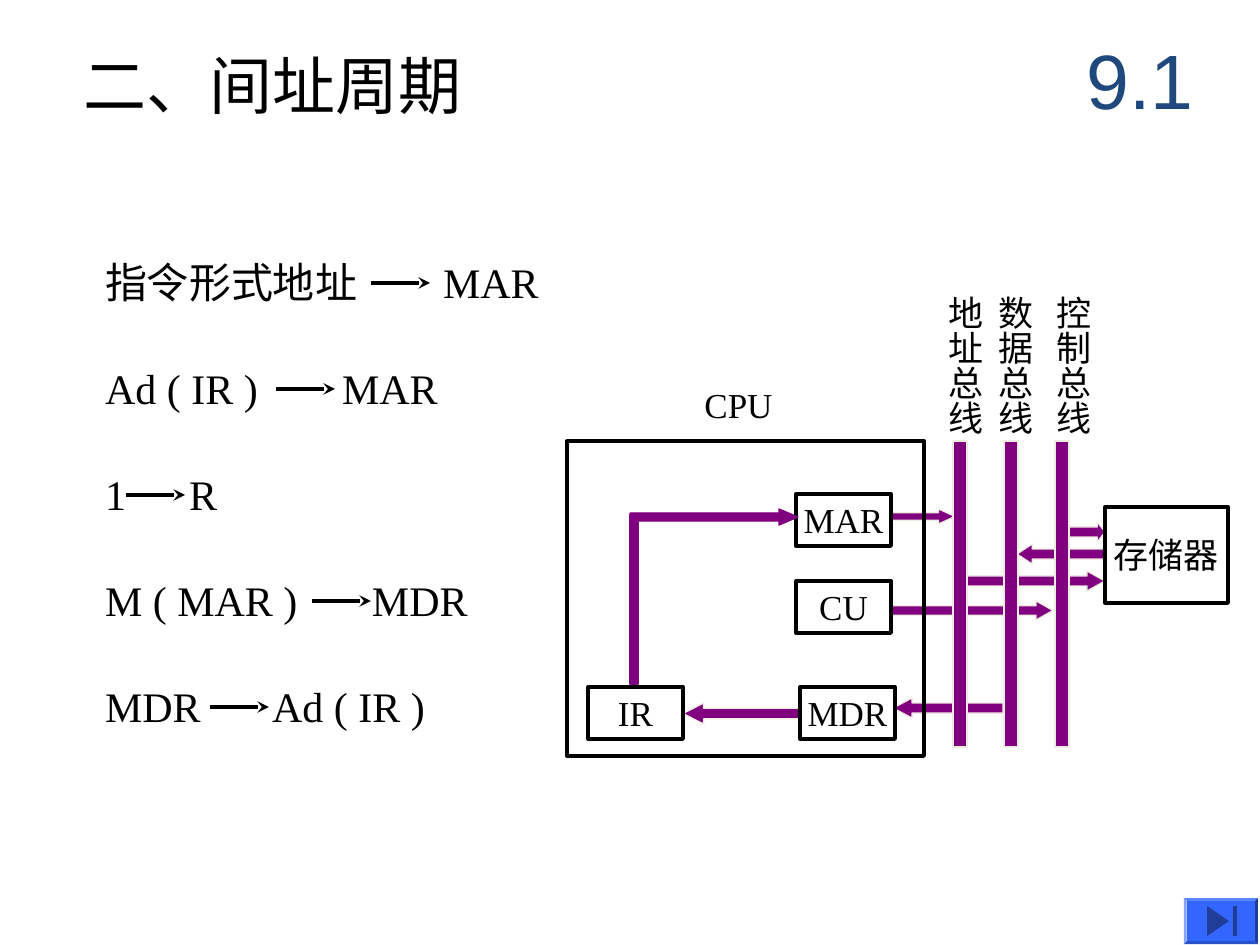
import pptx
import pptx.dml.color
import pptx.enum.shapes
import pptx.enum.text
import pptx.oxml
import pptx.oxml.ns
import pptx.util

RGBColor = pptx.dml.color.RGBColor
SHAPE = pptx.enum.shapes.MSO_SHAPE
ALIGN = pptx.enum.text.PP_ALIGN
ANCHOR = pptx.enum.text.MSO_ANCHOR
BLACK = RGBColor(0x00, 0x00, 0x00)
PURPLE = RGBColor(0x80, 0x00, 0x80)
CREAM = RGBColor(0xEE, 0xEC, 0xE1)
NAVY = RGBColor(0x1F, 0x49, 0x7D)
BUTTON_BLUE = RGBColor(0x33, 0x66, 0xFF)
ICON_BLUE = RGBColor(0x1F, 0x3D, 0x99)
PX_PER_INCH = 126
SERIF = "Times New Roman"


def px(length):
    """Turn a length in px into EMU."""
    return pptx.util.Emu(round(length * 914400 / PX_PER_INCH))


def add_element(parent, tag, **attributes):
    """Append a DrawingML element and return it."""
    element = pptx.oxml.parse_xml(f"<a:{tag} {pptx.oxml.ns.nsdecls('a')}/>")
    for name, value in attributes.items():
        element.set(name, str(value))
    parent.append(element)
    return element


def set_text(shape, text, size, color=BLACK, font=SERIF, align=ALIGN.LEFT,
             anchor=ANCHOR.MIDDLE, inset=(0, 0), wrap=False, tab=None):
    """Write one formatted paragraph into a shape."""
    frame = shape.text_frame
    frame.margin_left = frame.margin_right = pptx.util.Inches(inset[0])
    frame.margin_top = frame.margin_bottom = pptx.util.Inches(inset[1])
    frame.word_wrap = wrap
    frame.vertical_anchor = anchor
    frame.text = text
    paragraph = frame.paragraphs[0]
    paragraph.alignment = align
    if tab is not None:
        tabs = add_element(paragraph._p.get_or_add_pPr(), "tabLst")
        add_element(tabs, "tab", pos=px(tab), algn="l")
    for run in paragraph.runs:
        run.font.name = font
        run.font.size = pptx.util.Pt(size)
        run.font.color.rgb = color


def add_text(slide, box, text, size, **style):
    """Add a text box at a px box."""
    shape = slide.shapes.add_textbox(*map(px, box))
    set_text(shape, text, size, **style)
    return shape


def style_shape(shape, fill=None, line=None, width=0.75):
    """Give a shape its fill and line, without a shadow."""
    shape.shadow.inherit = False
    if fill is None:
        shape.fill.background()
    else:
        shape.fill.solid()
        shape.fill.fore_color.rgb = fill
    if line is None:
        shape.line.fill.background()
    else:
        shape.line.color.rgb = line
        shape.line.width = pptx.util.Pt(width)


def add_shape(slide, kind, box, **style):
    """Add a styled preset shape at a px box."""
    shape = slide.shapes.add_shape(kind, *map(px, box))
    style_shape(shape, **style)
    return shape


def add_block(slide, box, label=None):
    """Add an outlined hardware block with an optional label."""
    block = add_shape(slide, SHAPE.RECTANGLE, box, line=BLACK, width=2.25)
    if label:
        set_text(block, label, 20, align=ALIGN.CENTER, inset=(0.1, 0.05))


def add_flow(slide, box, head, leftward=False, line=CREAM):
    """Add a purple block arrow with the given head proportion."""
    arrow = add_shape(slide, SHAPE.RIGHT_ARROW, box, fill=PURPLE, line=line)
    arrow.adjustments[0] = 0.5
    arrow.adjustments[1] = head
    arrow.rotation = 180 if leftward else 0


def add_transfer_arrow(slide, left, y, length):
    """Add a thin black arrow with a stealth head."""
    connector = slide.shapes.add_connector(
        pptx.enum.shapes.MSO_CONNECTOR.STRAIGHT,
        px(left), px(y), px(left + length), px(y))
    connector.line.color.rgb = BLACK
    connector.line.width = pptx.util.Pt(2.25)
    add_element(connector.line._get_or_add_ln(), "tailEnd", type="stealth")
    add_element(connector._element.spPr, "effectLst")


def add_heading(slide, left, top, width, height):
    """Place the slide title and the section number."""
    add_text(slide, (left, top + 34, 446, 59), "二、间址周期", 36, wrap=True)
    add_text(slide, (left + width - 158, top, 158, height), "9.1", 44,
             color=NAVY, font="Arial", align=ALIGN.CENTER,
             inset=(0.1, 0.05), wrap=True)


def add_transfers(slide, left, top, width, height):
    """List the register transfers, evenly spaced down the box."""
    transfers = [
        ("指令形式地址", "MAR", 266, 338),
        ("Ad ( IR )", "MAR", 171, 237),
        ("1", "R", 21, 84),
        ("M ( MAR )", "MDR", 207, 267),
        ("MDR", "Ad ( IR )", 105, 167),
    ]
    row_height = 59
    pitch = (height - row_height) // (len(transfers) - 1)
    for row, (source, target, arrow, tab) in enumerate(transfers):
        y = top + row * pitch
        add_text(slide, (left, y, width, row_height), f"{source}\t{target}",
                 24, tab=tab, wrap=True)
        add_transfer_arrow(slide, left + arrow, y + 31, 59)


def add_datapath(slide, left, top, width, height):
    """Draw the CPU, the three buses and the memory with their data flows."""
    def at(x, y, w, h):
        return left + x, top + y, w, h

    flows = [
        (at(326, 415, 110, 20), 0.95, True),
        (at(116, 420, 116, 21), 0.98, True),
        (at(325, 318, 161, 19), 0.89, False),
        (at(325, 226, 63, 15), 1.09, False),
        (at(450, 261, 87, 20), 0.76, True),
        (at(399, 288, 139, 20), 0.9, False),
        (at(494, 239, 44, 20), 0.38, False),
    ]
    for box, head, leftward in flows:
        add_flow(slide, box, head, leftward)
    add_block(slide, at(0, 158, 357, height - 158))
    add_text(slide, at(125, 94, 93, 55), "CPU", 20, anchor=ANCHOR.TOP,
             inset=(0.1, 0.05))

    for y, length in ((232, 101), (332, 69)):
        add_shape(slide, SHAPE.RECTANGLE, at(63, y, 8, length),
                  fill=PURPLE, line=PURPLE)
    for label, x, y in (("MAR", 229, 211), ("CU", 229, 298),
                        ("MDR", 233, 404), ("IR", 21, 404)):
        add_block(slide, at(x, y, 95, 52), label)
    add_flow(slide, at(63, 226, 168, 16), 1.18, line=PURPLE)

    for bus, (name, label_x) in enumerate(
            (("地址总线", 358), ("数据总线", 408), ("控制总线", 466))):
        add_shape(slide, SHAPE.RECTANGLE, at(386 + bus * 51, 158, 14, 306),
                  fill=PURPLE, line=CREAM)
        label = add_text(slide, at(label_x, 0, 67, 154), name, 20,
                         anchor=ANCHOR.TOP, inset=(0.05, 0.1))
        label.text_frame._txBody.bodyPr.set("vert", "eaVert")
    add_block(slide, at(width - 123, 224, 123, 96), "存储器")


def add_end_button(slide, left, top, width, height):
    """Draw the bevelled button with its triangle and bar."""
    button = add_shape(slide, SHAPE.BEVEL, (left, top, width, height),
                       fill=BUTTON_BLUE)
    button.adjustments[0] = 0.06
    builder = slide.shapes.build_freeform(px(left + 23), px(top + 8))
    builder.add_line_segments([(px(left + 45), px(top + 23)),
                               (px(left + 23), px(top + 38))])
    style_shape(builder.convert_to_shape(), fill=ICON_BLUE)
    add_shape(slide, SHAPE.RECTANGLE, (left + 49, top + 8, 4, 30),
              fill=ICON_BLUE)


def main():
    """Build the slide and save it."""
    presentation = pptx.Presentation()
    presentation.slide_width = px(1260)
    presentation.slide_height = px(945)
    slide = presentation.slides.add_slide(presentation.slide_layouts[6])
    add_heading(slide, 84, 21, 1135, 116)
    add_transfers(slide, 105, 252, 450, 483)
    add_datapath(slide, 567, 283, 661, 473)
    add_end_button(slide, 1184, 898, 74, 46)
    presentation.save("out.pptx")


if __name__ == "__main__":
    main()
